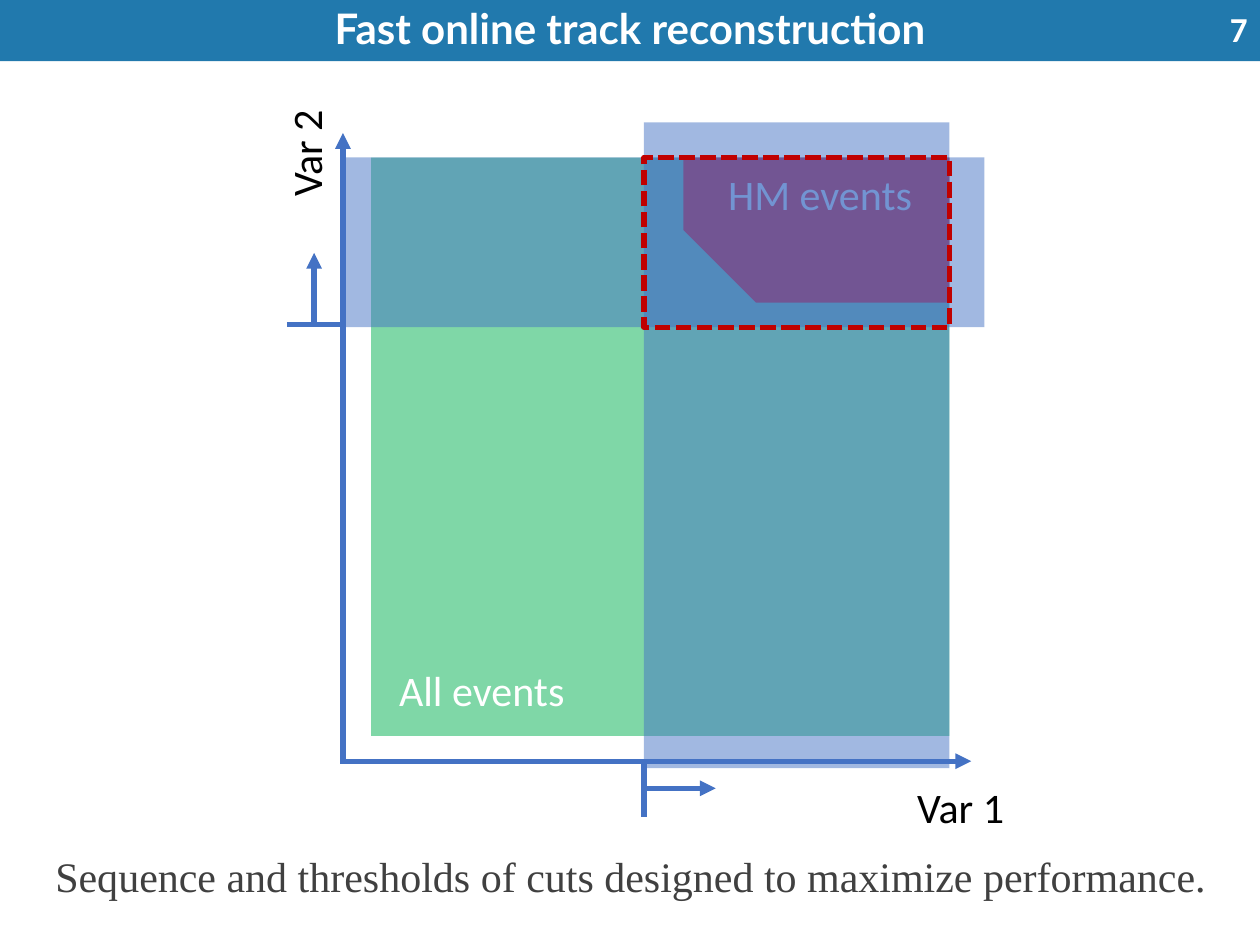
from lxml import etree
from pptx import Presentation
from pptx.dml.color import RGBColor
from pptx.enum.dml import MSO_LINE
from pptx.enum.shapes import MSO_CONNECTOR, MSO_SHAPE
from pptx.enum.text import MSO_ANCHOR, MSO_AUTO_SIZE, PP_ALIGN
from pptx.oxml.ns import qn
from pptx.util import Pt

BLUE, GREEN, RED, DARK_RED = "4472C4", "00B050", "FF0000", "C00000"
BANNER, WHITE, BLACK, GREY = "2179AD", "FFFFFF", "000000", "404040"
LINE_WIDTH = 3


def color(value):
    return RGBColor.from_string(value)


def place(shape, left, top, width, height):
    for name, value in dict(left=left, top=top, width=width, height=height).items():
        setattr(shape, name, Pt(value))


def write(shape, text, hex_color, size=24, font="Calibri", bold=False,
          align=PP_ALIGN.LEFT, anchor=MSO_ANCHOR.TOP, spacing=1.0):
    frame = shape.text_frame
    frame.text = text
    frame_format = dict(word_wrap=True, vertical_anchor=anchor,
                        auto_size=MSO_AUTO_SIZE.NONE)
    for name, value in frame_format.items():
        setattr(frame, name, value)
    paragraph = frame.paragraphs[0]
    paragraph.alignment = align
    paragraph.line_spacing = spacing
    run_font = paragraph.runs[0].font
    for name, value in dict(name=font, size=Pt(size), bold=bold).items():
        setattr(run_font, name, value)
    run_font.color.rgb = color(hex_color)


def add_text(slide, box, text, hex_color, **text_format):
    shape = slide.shapes.add_textbox(*map(Pt, box))
    write(shape, text, hex_color, **text_format)
    return shape


def add_area(slide, box, fill=None, opacity=100, kind=MSO_SHAPE.RECTANGLE):
    shape = slide.shapes.add_shape(kind, *map(Pt, box))
    shape.shadow.inherit = False
    shape.line.fill.background()
    if fill is None:
        shape.fill.background()
        return shape
    shape.fill.solid()
    shape.fill.fore_color.rgb = color(fill)
    if opacity < 100:
        fill_element = shape.fill._xPr.find(qn("a:solidFill"))[0]
        etree.SubElement(fill_element, qn("a:alpha"), val=str(opacity * 1000))
    return shape


def add_line(slide, start, end, arrow=False):
    line = slide.shapes.add_connector(MSO_CONNECTOR.STRAIGHT, *map(Pt, start + end))
    line.line.color.rgb = color(BLUE)
    line.line.width = Pt(LINE_WIDTH)
    if arrow:
        etree.SubElement(line.line._get_or_add_ln(), qn("a:tailEnd"), type="triangle")
    etree.SubElement(line._element.spPr, qn("a:effectLst"))


def add_banner(slide, width, height, title, number):
    shape = slide.shapes.title
    place(shape, 0, 0, width, height)
    shape.fill.solid()
    shape.fill.fore_color.rgb = color(BANNER)
    write(shape, title, WHITE, font="Lato", bold=True, align=PP_ALIGN.CENTER,
          anchor=MSO_ANCHOR.MIDDLE, spacing=0.9)
    add_text(slide, (width - 35, 2, 35, 29), number, WHITE, size=20, bold=True,
             align=PP_ALIGN.RIGHT, anchor=MSO_ANCHOR.MIDDLE)


def add_cut_diagram(slide, left, top, size):
    """Draw two axes from the lower left corner, with event regions and cuts."""
    def at(x, y, *extent):
        return (left + x, top + y, *extent)

    inset, events_top, events_size = 16, 14, 330.5
    events_right = inset + events_size
    cut_x, cut_y = 172, 111
    pass_width, pass_height = events_right - cut_x, cut_y - events_top
    label_size = (77, 36)
    wide_label_size = (153, 36)

    add_line(slide, at(-1.5, size), at(size, size), arrow=True)
    add_line(slide, at(0, size + 1.5), at(0, 0), arrow=True)

    add_area(slide, at(inset, events_top, events_size, events_size), GREEN, 50)
    add_text(slide, at(size - 38, size + 8, *label_size), "Var 1", BLACK)
    vertical_label = add_text(slide, at(-60, -13, *label_size), "Var 2", BLACK)
    vertical_label.rotation = 270
    add_text(slide, at(25, 300, *wide_label_size), "All events", WHITE)

    signal_width, signal_height = 152, 83
    signal = add_area(slide, at(events_right - signal_width, events_top,
                                signal_width, signal_height),
                      RED, kind=MSO_SHAPE.SNIP_1_RECTANGLE)
    signal.adjustments[0] = 0.5
    signal.rotation = 180
    add_text(slide, at(213, 17, *wide_label_size), "HM events", WHITE)

    add_area(slide, at(0, events_top, events_right + 20, pass_height), BLUE, 50)
    add_area(slide, at(cut_x, -6, pass_width, 369), BLUE, 50)
    selected = add_area(slide, at(cut_x, events_top, pass_width, pass_height))
    selected.line.color.rgb = color(DARK_RED)
    selected.line.width = Pt(LINE_WIDTH)
    selected.line.dash_style = MSO_LINE.SQUARE_DOT

    tick, arrow_length = 31, 41
    tick_y = cut_y - 1.5
    add_line(slide, at(cut_x, size + 1), at(cut_x, size + 1 + tick))
    add_line(slide, at(cut_x, size + tick / 2),
             at(cut_x + arrow_length, size + tick / 2), arrow=True)
    add_line(slide, at(-1 - tick, tick_y), at(-1, tick_y))
    add_line(slide, at(-1 - tick / 2, tick_y),
             at(-1 - tick / 2, tick_y - arrow_length), arrow=True)


def main():
    presentation = Presentation()
    presentation.slide_width, presentation.slide_height = Pt(720), Pt(540)
    slide = presentation.slides.add_slide(presentation.slide_layouts[5])
    add_banner(slide, 720, 35, "Fast online track reconstruction", "7")
    add_text(slide, (19.5, 482.5, 682, 37),
             "Sequence and thresholds of cuts designed to maximize performance.",
             GREY, font="Times New Roman", align=PP_ALIGN.CENTER)
    add_cut_diagram(slide, 196, 76, 359)
    presentation.save("out.pptx")


if __name__ == "__main__":
    main()
